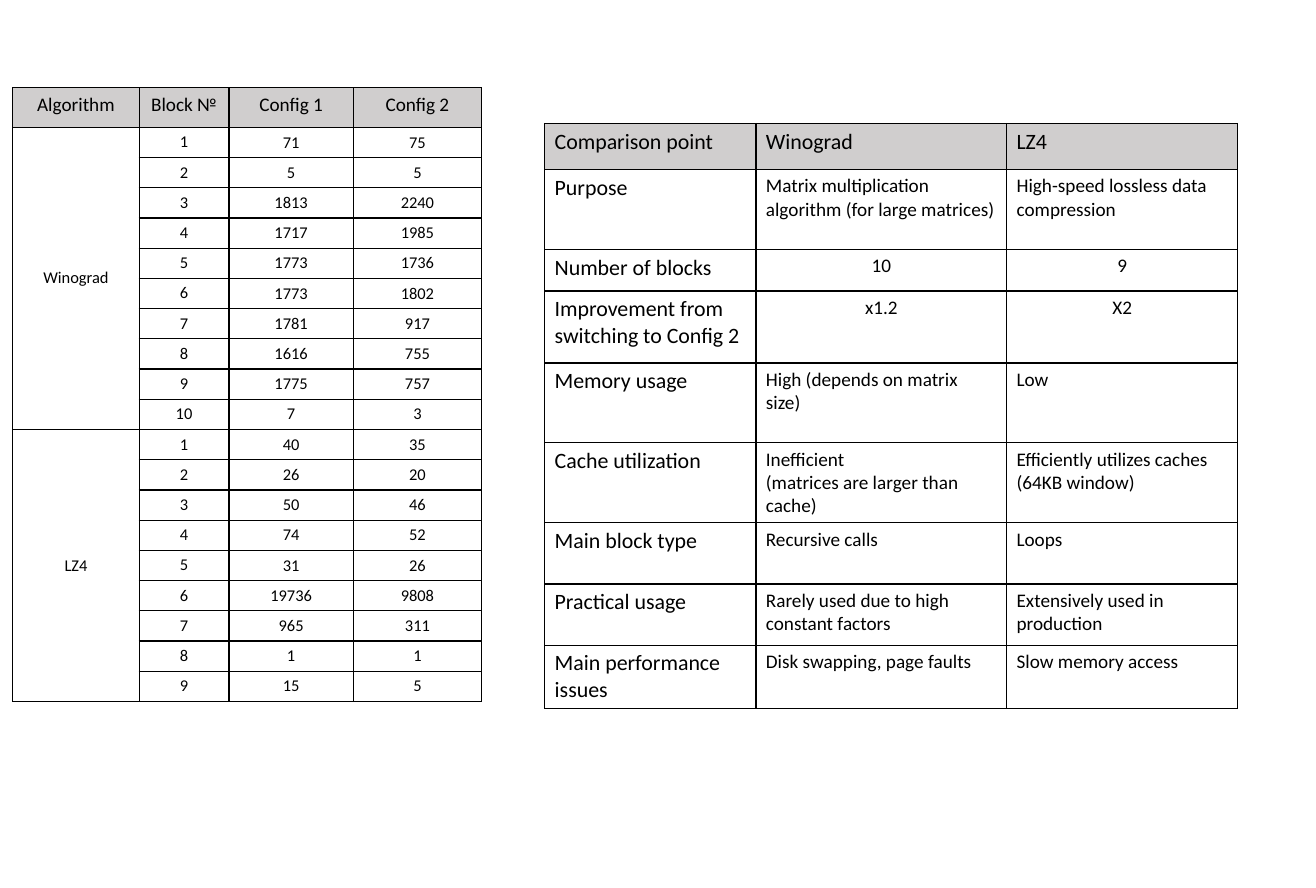
from lxml.etree import SubElement
from pptx import Presentation
from pptx.dml.color import RGBColor
from pptx.enum.text import MSO_ANCHOR, PP_ALIGN
from pptx.oxml.ns import qn
from pptx.util import Inches, Pt

BLACK = RGBColor(0x00, 0x00, 0x00)
HEADER_GRAY = RGBColor(0xD0, 0xCE, 0xCE)
FONT = "Calibri"

TIMING_HEADERS = ["Algorithm", "Block №", "Config 1", "Config 2"]
TIMINGS = {
    "Winograd": [
        (71, 75), (5, 5), (1813, 2240), (1717, 1985), (1773, 1736),
        (1773, 1802), (1781, 917), (1616, 755), (1775, 757), (7, 3),
    ],
    "LZ4": [
        (40, 35), (26, 20), (50, 46), (74, 52), (31, 26),
        (19736, 9808), (965, 311), (1, 1), (15, 5),
    ],
}
COMPARISON = [
    ("Comparison point", "Winograd", "LZ4"),
    ("Purpose", "Matrix multiplication algorithm (for large matrices)",
     "High-speed lossless data compression"),
    ("Number of blocks", "10", "9"),
    ("Improvement from switching to Config 2", "x1.2", "X2"),
    ("Memory usage", "High (depends on matrix size)", "Low"),
    ("Cache utilization", "Inefficient\n(matrices are larger than cache)",
     "Efficiently utilizes caches (64KB window)"),
    ("Main block type", "Recursive calls", "Loops"),
    ("Practical usage", "Rarely used due to high constant factors",
     "Extensively used in production"),
    ("Main performance issues", "Disk swapping, page faults", "Slow memory access"),
]
CENTERED_ROWS = {"Number of blocks", "Improvement from switching to Config 2"}


def add_borders(cell):
    properties = cell._tc.get_or_add_tcPr()
    for side in ("a:lnL", "a:lnR", "a:lnT", "a:lnB"):
        line = SubElement(properties, qn(side), w=str(Pt(1)))
        fill = SubElement(line, qn("a:solidFill"))
        SubElement(fill, qn("a:srgbClr"), val=str(BLACK))


def set_text(cell, text, size=12, align=PP_ALIGN.LEFT, anchor=MSO_ANCHOR.TOP):
    cell.text_frame.text = str(text)
    cell.vertical_anchor = anchor
    for paragraph in cell.text_frame.paragraphs:
        paragraph.alignment = align
        font = paragraph.runs[0].font
        font.name = FONT
        font.size = Pt(size)
        font.bold = False
        font.color.rgb = BLACK


def set_tight_margins(cell):
    cell.margin_left = cell.margin_right = Inches(0.03)
    cell.margin_top = cell.margin_bottom = Inches(0.02)


def add_grid(slide, left, top, widths, heights):
    table = slide.shapes.add_table(
        len(heights), len(widths), Inches(left), Inches(top),
        Inches(sum(widths)), Inches(sum(heights)),
    ).table
    table.first_row = False
    table.horz_banding = False
    for column, width in zip(table.columns, widths):
        column.width = Inches(width)
    for index, (row, height) in enumerate(zip(table.rows, heights)):
        row.height = Inches(height)
        for cell in row.cells:
            add_borders(cell)
            if index == 0:
                cell.fill.solid()
                cell.fill.fore_color.rgb = HEADER_GRAY
            else:
                cell.fill.background()
    return table


def add_timing_table(slide):
    block_count = sum(len(blocks) for blocks in TIMINGS.values())
    header_height = 0.4
    row_height = (6.22 - header_height) / block_count
    table = add_grid(slide, 0.13, 0.89, [1.28, 0.91, 1.26, 1.3],
                     [header_height] + [row_height] * block_count)
    for column, header in enumerate(TIMING_HEADERS):
        set_text(table.cell(0, column), header, size=14, align=PP_ALIGN.CENTER)
    first = 1
    for algorithm, blocks in TIMINGS.items():
        name_cell = table.cell(first, 0)
        name_cell.merge(table.cell(first + len(blocks) - 1, 0))
        set_text(name_cell, algorithm, align=PP_ALIGN.CENTER, anchor=MSO_ANCHOR.MIDDLE)
        for number, timings in enumerate(blocks, start=1):
            row = first + number - 1
            set_text(table.cell(row, 1), number, align=PP_ALIGN.CENTER)
            for column, timing in enumerate(timings, start=2):
                cell = table.cell(row, column)
                set_tight_margins(cell)
                set_text(cell, timing, align=PP_ALIGN.CENTER, anchor=MSO_ANCHOR.MIDDLE)
        first += len(blocks)


def add_comparison_table(slide):
    table = add_grid(slide, 5.52, 1.25, [2.14, 2.54, 2.34],
                     [0.47, 0.81, 0.42, 0.73, 0.81, 0.81, 0.62, 0.62, 0.62])
    for row, values in enumerate(COMPARISON):
        for column, value in enumerate(values):
            is_label = row == 0 or column == 0
            is_centered = column > 0 and values[0] in CENTERED_ROWS
            set_text(table.cell(row, column), value, size=16 if is_label else 14,
                     align=PP_ALIGN.CENTER if is_centered else PP_ALIGN.LEFT)


def main():
    presentation = Presentation()
    presentation.slide_width = Inches(40 / 3)
    presentation.slide_height = Inches(9)
    slide = presentation.slides.add_slide(presentation.slide_layouts[6])
    add_timing_table(slide)
    add_comparison_table(slide)
    presentation.save("out.pptx")


if __name__ == "__main__":
    main()
